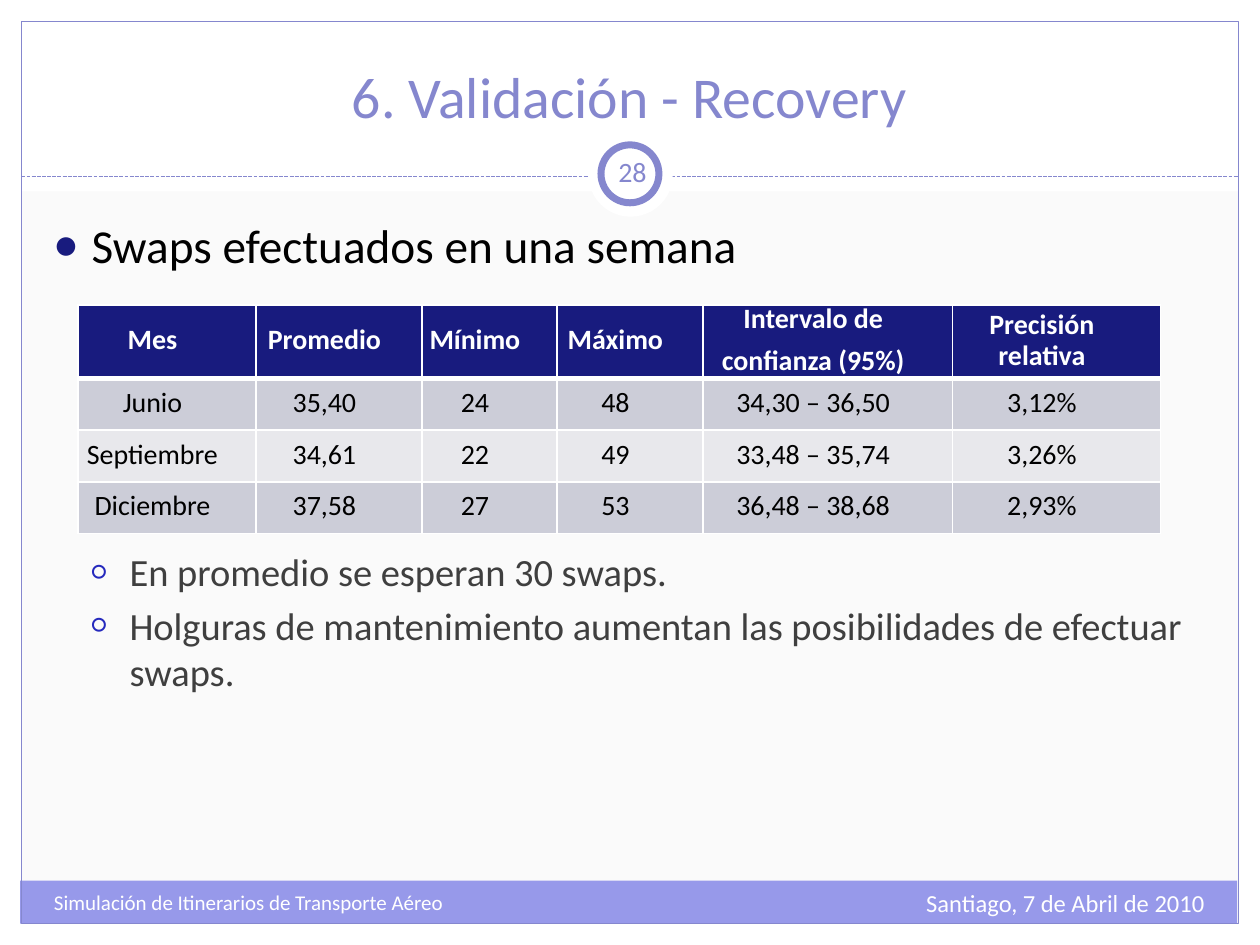
import pptx
import pptx.dml.color
import pptx.enum.dml
import pptx.enum.shapes
import pptx.enum.text
import pptx.oxml
import pptx.oxml.ns
import pptx.util
from lxml import etree

Inches, Pt = pptx.util.Inches, pptx.util.Pt
SHAPE = pptx.enum.shapes.MSO_SHAPE
ALIGN = pptx.enum.text.PP_ALIGN
ANCHOR = pptx.enum.text.MSO_ANCHOR
qn = pptx.oxml.ns.qn

COLORS = {
    "paper": "FAFAFA", "white": "FFFFFF", "band": "9799EA", "accent": "8587CE",
    "navy": "181B7E", "blue": "2529BD", "black": "000000", "gray": "3F3F3F",
    "row_dark": "CCCDD8", "row_light": "E8E8EC",
}


def rgb(name):
    return pptx.dml.color.RGBColor.from_string(COLORS[name])


class SlideBuilder:
    font = "Calibri"

    def __init__(self, slide):
        self.slide = slide
        slide.background.fill.solid()
        slide.background.fill.fore_color.rgb = rgb("paper")

    def shape(self, kind, left, top, width, height, fill=None, line=None, weight=0.75):
        shape = self.slide.shapes.add_shape(
            kind, Inches(left), Inches(top), Inches(width), Inches(height))
        shape.shadow.inherit = False
        if fill:
            shape.fill.solid()
            shape.fill.fore_color.rgb = rgb(fill)
        else:
            shape.fill.background()
        if line:
            shape.line.color.rgb = rgb(line)
            shape.line.width = Pt(weight)
        else:
            shape.line.fill.background()

    def dashed_line(self, left, right, y, color):
        line = self.slide.shapes.add_connector(
            pptx.enum.shapes.MSO_CONNECTOR.STRAIGHT,
            Inches(left), Inches(y), Inches(right), Inches(y))
        line.line.color.rgb = rgb(color)
        line.line.width = Pt(0.75)
        line.line.dash_style = pptx.enum.dml.MSO_LINE.SQUARE_DOT
        properties = line.line._get_or_add_ln().getparent()
        etree.SubElement(properties, qn("a:effectLst"))

    def style(self, paragraph, size, color, align=ALIGN.LEFT, bold=False):
        paragraph.alignment = align
        font = paragraph.font
        font.name, font.size, font.bold = self.font, Pt(size), bold
        font.color.rgb = rgb(color)

    def text(self, lines, left, top, width, height, size, color,
             align=ALIGN.LEFT, anchor=ANCHOR.TOP, inset=None):
        box = self.slide.shapes.add_textbox(
            Inches(left), Inches(top), Inches(width), Inches(height))
        frame = box.text_frame
        frame.word_wrap = True
        frame.vertical_anchor = anchor
        if inset is not None:
            frame.margin_left = frame.margin_right = Inches(inset)
        frame.text = "\n".join(lines)
        for paragraph in frame.paragraphs:
            self.style(paragraph, size, color, align)
        return frame

    def bullets(self, lines, left, top, width, height, size, color,
                mark, mark_color, mark_size, indent):
        frame = self.text(lines, left, top, width, height, size, color)
        for index, paragraph in enumerate(frame.paragraphs):
            if index:
                paragraph.space_before = Pt(0.2 * size)
            properties = paragraph._p.get_or_add_pPr()
            properties.set("marL", str(Inches(indent)))
            properties.set("indent", str(Inches(-0.3)))
            bullet = pptx.oxml.parse_xml(
                f'<a:pPr {pptx.oxml.ns.nsdecls("a")}>'
                f'<a:buClr><a:srgbClr val="{COLORS[mark_color]}"/></a:buClr>'
                f'<a:buSzPct val="{mark_size * 1000}"/>'
                f'<a:buFont typeface="{self.font}"/><a:buChar char="{mark}"/></a:pPr>')
            defaults = properties.find(qn("a:defRPr"))
            for part in list(bullet):
                defaults.addprevious(part)

    def border(self, cell, side, weight):
        line = etree.SubElement(cell._tc.get_or_add_tcPr(), qn(f"a:ln{side}"),
                                w=str(Pt(weight)))
        fill = etree.SubElement(line, qn("a:solidFill"))
        etree.SubElement(fill, qn("a:srgbClr"), val=COLORS["white"])

    def table(self, rows, left, top, widths, heights):
        table = self.slide.shapes.add_table(
            len(rows), len(widths), Inches(left), Inches(top),
            Inches(sum(widths)), Inches(sum(heights))).table
        for column, width in zip(table.columns, widths):
            column.width = Inches(width)
        for row, height in zip(table.rows, heights):
            row.height = Inches(height)
        for r, row in enumerate(rows):
            for c, value in enumerate(row):
                self.cell(table.cell(r, c), value, r)

    def cell(self, cell, value, row):
        header = row == 0
        for side in "LRTB":
            # The rule between header and body is heavier
            heavy = (row, side) in ((0, "B"), (1, "T"))
            self.border(cell, side, 3 if heavy else 1)
        cell.fill.solid()
        body_fill = "row_dark" if row % 2 else "row_light"
        cell.fill.fore_color.rgb = rgb("navy" if header else body_fill)
        cell.vertical_anchor = ANCHOR.MIDDLE
        cell.margin_left, cell.margin_right = Inches(0.05), Inches(0.28)
        cell.margin_top = cell.margin_bottom = 0
        cell.text = value
        for paragraph in cell.text_frame.paragraphs:
            self.style(paragraph, 16, "white" if header else "black",
                       ALIGN.CENTER, header)
            paragraph.line_spacing = Pt(18)
            paragraph.space_before = Pt(6)


def main():
    deck = pptx.Presentation()
    deck.slide_width, deck.slide_height = Inches(10), Inches(7.5)
    page = SlideBuilder(deck.slides.add_slide(deck.slide_layouts[6]))

    # White margins and title area, footer band, frame
    for area in ((0, 7.33, 10, 0.17), (0, 0, 10, 1.52),
                 (0, 0, 0.17, 7.5), (9.83, 0, 0.17, 7.5)):
        page.shape(SHAPE.RECTANGLE, *area, fill="white")
    page.shape(SHAPE.RECTANGLE, 0.16, 6.99, 9.66, 0.34, fill="band")
    page.shape(SHAPE.RECTANGLE, 0.17, 0.17, 9.66, 7.16, line="accent")

    # Divider with the page number ring
    page.dashed_line(0.17, 9.83, 1.4, "accent")
    page.shape(SHAPE.OVAL, 4.67, 1.05, 0.67, 0.67, fill="white")
    page.shape(SHAPE.OVAL, 4.77, 1.15, 0.46, 0.46, fill="white",
               line="accent", weight=4)
    page.text(["28"], 4.77, 1.12, 0.5, 0.48, 16, "accent",
              ALIGN.CENTER, ANCHOR.MIDDLE, inset=0.05)

    # Title and footer
    page.text(["6. Validación - Recovery"], 0.33, 0.25, 9.33, 0.83, 33, "accent",
              ALIGN.CENTER, ANCHOR.BOTTOM)
    page.text(["Santiago, 7 de Abril de 2010"], 6.33, 7, 3.33, 0.4, 14, "white",
              ALIGN.RIGHT)
    page.text(["Simulación de Itinerarios de Transporte Aéreo"],
              0.33, 7.01, 3.92, 0.4, 12, "white")

    # Bullets above and below the table
    page.bullets(["Swaps efectuados en una semana"], 0.33, 1.67, 9.3, 0.6,
                 27, "black", "●", "navy", 85, 0.3)
    page.bullets(["En promedio se esperan 30 swaps.",
                  "Holguras de mantenimiento aumentan las posibilidades de "
                  "efectuar swaps."],
                 0.33, 4.3, 9.3, 1.4, 22, "gray", "○", "blue", 70, 0.6)

    # Swaps per month
    page.table([
        ["Mes", "Promedio", "Mínimo", "Máximo",
         "Intervalo de\nconfianza (95%)", "Precisión relativa"],
        ["Junio", "35,40", "24", "48", "34,30 – 36,50", "3,12%"],
        ["Septiembre", "34,61", "22", "49", "33,48 – 35,74", "3,26%"],
        ["Diciembre", "37,58", "27", "53", "36,48 – 38,68", "2,93%"],
    ], 0.62, 2.42, [1.41, 1.32, 1.07, 1.16, 1.98, 1.65], [0.58] + [0.41] * 3)

    deck.save("out.pptx")


if __name__ == "__main__":
    main()
